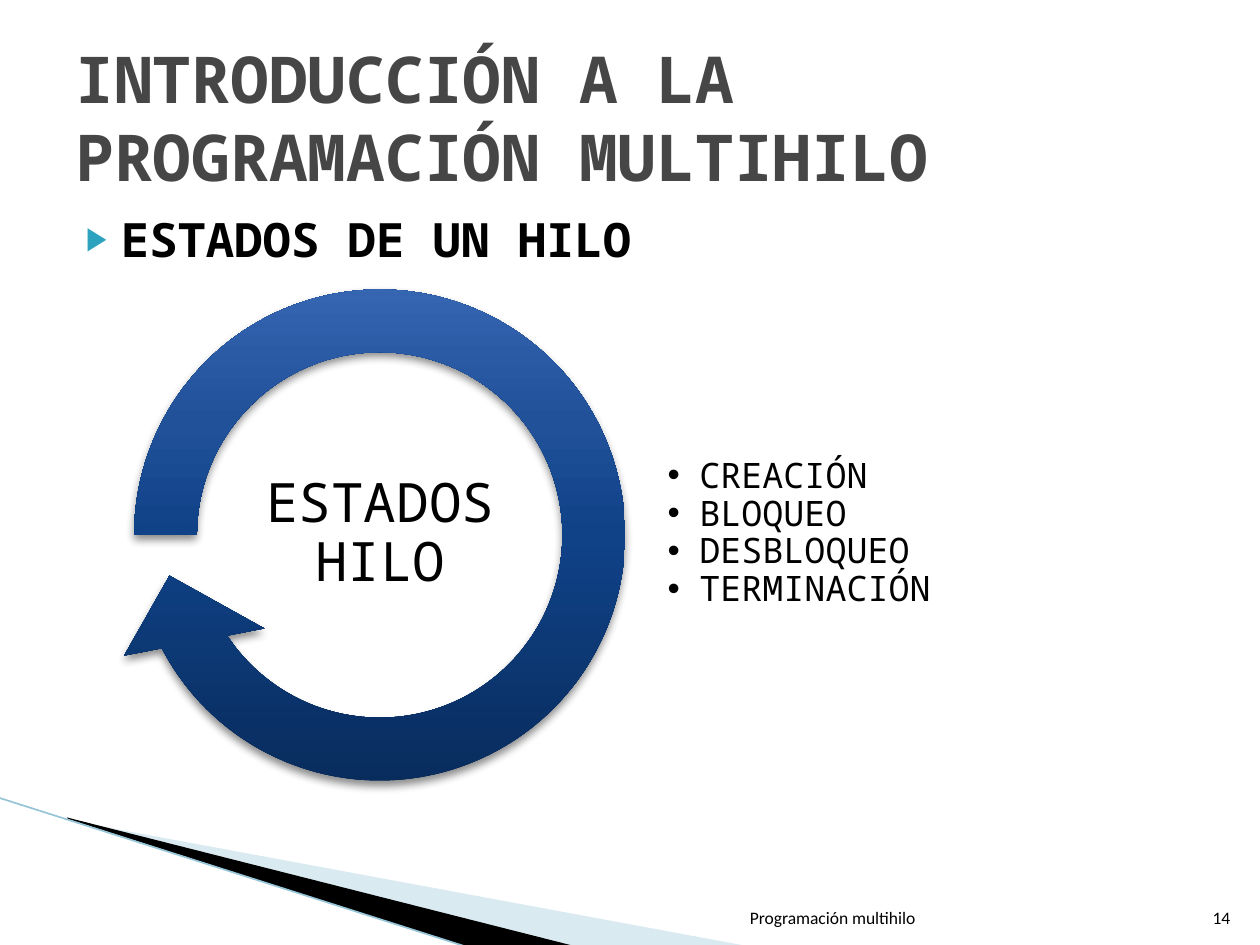
from lxml.etree import SubElement
from pptx import Presentation
from pptx.dml.color import RGBColor
from pptx.enum.shapes import MSO_CONNECTOR, MSO_SHAPE
from pptx.enum.text import MSO_ANCHOR, PP_ALIGN
from pptx.oxml.ns import qn
from pptx.util import Cm, Pt

COLORS = {
    "text": "000000",
    "title": "464646",
    "bullet": "2DA2BF",
    "pale_wedge": "A0CBDC",
    "dark_wedge": "000000",
    "edge": "97C5D8",
    "shadow": "000000",
}
CYCLE_STOPS = [(0, "072956"), (50, "104288"), (70, "205199"), (100, "3D6BB9")]
MONO = "Noto Sans Mono"
STATES = ["CREACIÓN", "BLOQUEO", "DESBLOQUEO", "TERMINACIÓN"]


def rgb(name):
    return RGBColor.from_string(COLORS[name])


def add_node(parent, tag, **attributes):
    return SubElement(parent, qn(tag), {key: str(value) for key, value in attributes.items()})


def add_color(parent, value, alpha=None):
    color = add_node(parent, "a:srgbClr", val=value)
    if alpha is not None:
        add_node(color, "a:alpha", val=alpha * 1000)
    return color


def add_wedge(slide, points, color, alpha=None):
    corners = [(Cm(x), Cm(y)) for x, y in points]
    builder = slide.shapes.build_freeform(*corners[0], scale=1.0)
    builder.add_line_segments(corners[1:], close=True)
    wedge = builder.convert_to_shape()
    wedge.shadow.inherit = False
    wedge.fill.solid()
    wedge.fill.fore_color.rgb = rgb(color)
    wedge.line.fill.background()
    if alpha is not None:
        fill_color = wedge.fill._xPr.find(qn("a:solidFill")).find(qn("a:srgbClr"))
        add_node(fill_color, "a:alpha", val=alpha * 1000)


def add_edge(slide, start, end):
    edge = slide.shapes.add_connector(
        MSO_CONNECTOR.STRAIGHT, *(Cm(value) for value in start + end))
    edge.line.color.rgb = rgb("edge")
    edge.line.width = Pt(0.95)
    add_node(edge._element.spPr, "a:effectLst")


def add_text(slide, box, lines, size, font=MONO, color="text", bold=False,
             align=PP_ALIGN.LEFT, anchor=MSO_ANCHOR.TOP, inset=None, spacing=None):
    frame = slide.shapes.add_textbox(*(Cm(value) for value in box)).text_frame
    frame.word_wrap = True
    frame.vertical_anchor = anchor
    if inset is not None:
        frame.margin_left = frame.margin_right = Cm(inset)
        frame.margin_top = frame.margin_bottom = Cm(inset)
    for index, line in enumerate(lines):
        paragraph = frame.add_paragraph() if index else frame.paragraphs[0]
        paragraph.alignment = align
        paragraph.line_spacing = spacing
        run = paragraph.add_run()
        run.text = line
        run.font.name = font
        run.font.size = Pt(size)
        run.font.bold = bold
        run.font.color.rgb = rgb(color)
    return frame.paragraphs


def add_bullet(paragraph, char, margin, hang, color="text", percent=100):
    properties = paragraph._p.get_or_add_pPr()
    properties.set("marL", str(Cm(margin)))
    properties.set("indent", str(-Cm(hang)))
    add_color(add_node(properties, "a:buClr"), COLORS[color])
    add_node(properties, "a:buSzPct", val=percent * 1000)
    add_node(properties, "a:buFont", typeface="Arial")
    add_node(properties, "a:buChar", char=char)


def add_cycle_arrow(slide, left, top, side):
    cycle = slide.shapes.add_shape(
        MSO_SHAPE.CIRCULAR_ARROW, Cm(left), Cm(top), Cm(side), Cm(side))
    for index, value in enumerate([0.11, 11.42, 90, 108, 0.125]):
        cycle.adjustments[index] = value
    cycle.line.fill.background()
    cycle.fill.gradient()
    gradient = cycle.fill._xPr.find(qn("a:gradFill"))
    stops = gradient.find(qn("a:gsLst"))
    for stop in list(stops):
        stops.remove(stop)
    for position, value in CYCLE_STOPS:
        add_color(add_node(stops, "a:gs", pos=position * 1000), value)
    gradient.find(qn("a:lin")).set("ang", str(270 * 60000))
    cycle.shadow.inherit = False
    effects = cycle._element.spPr.find(qn("a:effectLst"))
    shadow = add_node(effects, "a:outerShdw", blurRad=Pt(5), dist=Pt(3),
                      dir=90 * 60000, rotWithShape=0)
    add_color(shadow, COLORS["shadow"], alpha=45)


def add_corner(slide):
    add_wedge(slide, [(1.4, 16.54), (15.11, 19.08), (11.58, 19.08), (1.4, 16.51)],
              "pale_wedge", alpha=40)
    add_wedge(slide, [(1.35, 16.48), (11.61, 19.08), (9.45, 19.1), (1.37, 16.51)],
              "dark_wedge")
    add_edge(slide, (-0.03, 16.08), (9.45, 19.1))


def add_footer(slide, left, width, text):
    add_text(slide, (left, 17.81, width, 1.02), [text], 10, font="Calibri",
             align=PP_ALIGN.RIGHT, anchor=MSO_ANCHOR.BOTTOM)


def main():
    presentation = Presentation()
    presentation.slide_width = Cm(25.4)
    presentation.slide_height = Cm(19.05)
    slide = presentation.slides.add_slide(presentation.slide_layouts[6])

    add_corner(slide)

    heading = add_text(slide, (1.17, 4.11, 22.86, 12.57), ["ESTADOS DE UN HILO"], 27,
                       bold=True, align=PP_ALIGN.JUSTIFY)[0]
    heading.space_before = Pt(4)
    add_bullet(heading, "▶", 1.02, 0.71, color="bullet", percent=68)
    add_text(slide, (1.27, 0.76, 22.86, 3.18), ["INTRODUCCIÓN A LA PROGRAMACIÓN MULTIHILO"],
             36.9, color="title", bold=True, anchor=MSO_ANCHOR.MIDDLE)

    add_footer(slide, 12.17, 6.53, "Programación multihilo")
    add_footer(slide, 24.03, 1.02, "14")

    add_cycle_arrow(slide, 1.9, 5.03, 11.51)
    states = add_text(slide, (13.41, 8.46, 6.91, 4.6), STATES, 20,
                      anchor=MSO_ANCHOR.MIDDLE, inset=0.05, spacing=0.9)
    for state in states:
        add_bullet(state, "•", 0.64, 0.64)
    add_text(slide, (4.45, 9.17, 6.43, 3.2), ["ESTADOS HILO"], 31, align=PP_ALIGN.CENTER,
             anchor=MSO_ANCHOR.MIDDLE, inset=0.05, spacing=0.9)

    presentation.save("out.pptx")


if __name__ == "__main__":
    main()
